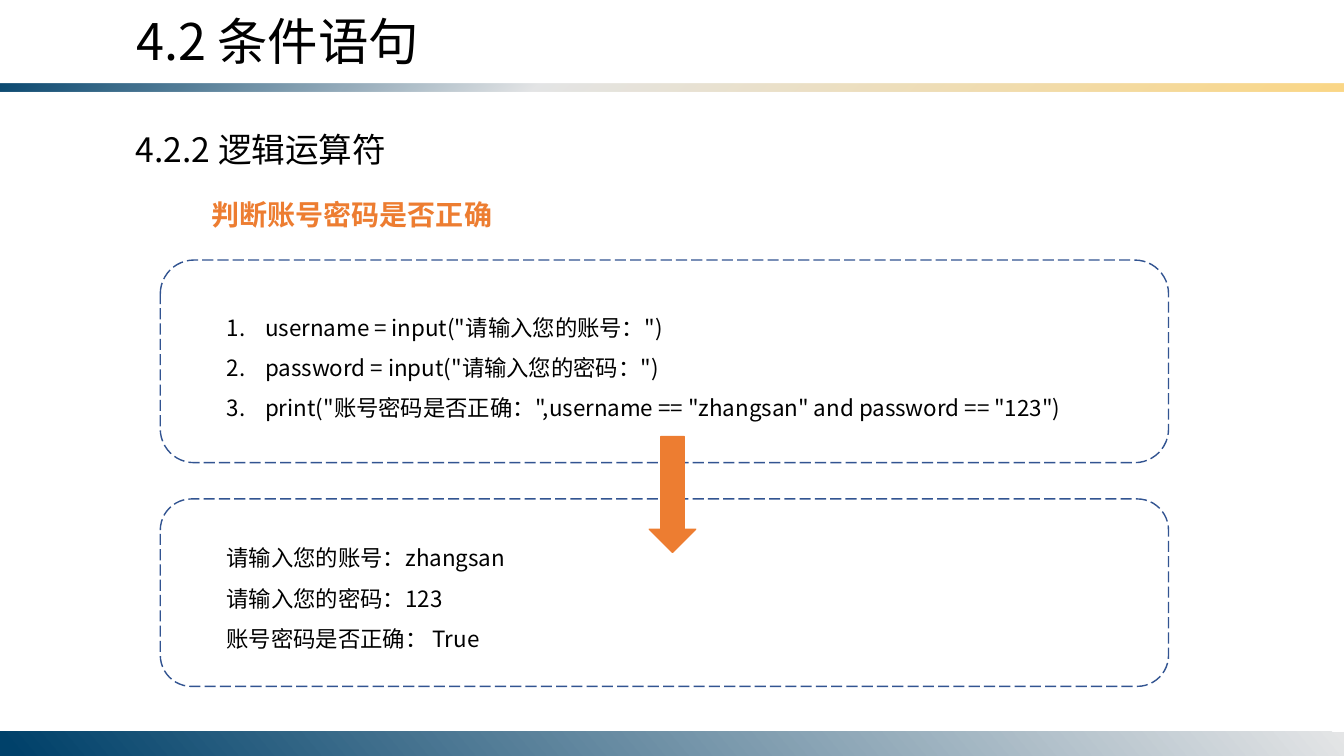
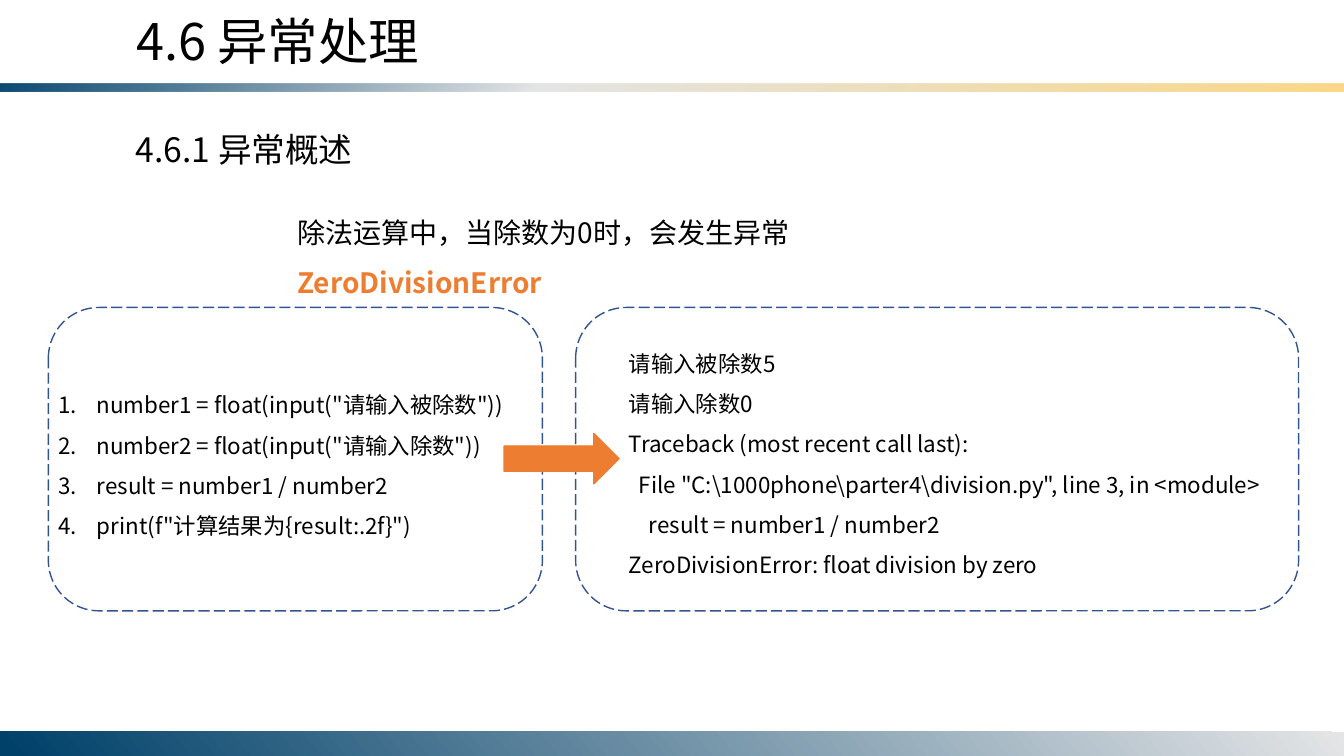
"""Builds two lesson slides with numbered code, its output and an arrow between them."""
from dataclasses import dataclass
from typing import NamedTuple

from lxml import etree
from pptx import Presentation
from pptx.dml.color import RGBColor
from pptx.enum.dml import MSO_LINE
from pptx.enum.shapes import MSO_SHAPE
from pptx.enum.text import MSO_ANCHOR, MSO_AUTO_SIZE, PP_ALIGN
from pptx.oxml import parse_xml
from pptx.oxml.ns import nsdecls, qn
from pptx.util import Inches, Pt

RECTANGLE = MSO_SHAPE.RECTANGLE
ROUNDED = MSO_SHAPE.ROUNDED_RECTANGLE
DOWN_ARROW = MSO_SHAPE.DOWN_ARROW
RIGHT_ARROW = MSO_SHAPE.RIGHT_ARROW
LONG_DASH = MSO_LINE.LONG_DASH
TOP = MSO_ANCHOR.TOP
LEFT = PP_ALIGN.LEFT
NO_AUTOFIT = MSO_AUTO_SIZE.NONE

FONT = "Noto Sans CJK SC"
COLORS = {
    "text": "000000",
    "accent": "ED7D31",
    "outline": "325491",
    "navy": "00416A",
    "silver": "E4E5E6",
    "gold": "FBD786",
}
TITLE_SIZE, SECTION_SIZE, TOPIC_SIZE, CODE_SIZE = 36, 24, 20, 16
LIST_INDENT = Inches(0.38)


class Box(NamedTuple):
    left: float
    top: float
    width: float
    height: float

    def lengths(self) -> list:
        return [Inches(value) for value in self]


class Span(NamedTuple):
    text: str
    color: str = "text"
    bold: bool = False


class Stop(NamedTuple):
    percent: int
    color: str
    opacity: int = 100


@dataclass
class Band:
    box: Box
    angle: int
    stops: list[Stop]


@dataclass
class Lesson:
    title: str
    section: str
    topic: list[Span]
    topic_box: Box
    code: list[str]
    code_box: Box
    code_panel: Box
    output: list[str]
    output_box: Box
    output_panel: Box
    arrow: MSO_SHAPE
    arrow_box: Box


TITLE_BOX = Box(1.25, 0.05, 6.12, 0.71)
SECTION_BOX = Box(1.25, 1.23, 2.87, 0.5)
BANDS = [
    Band(Box(0, 0.83, 13.33, 0.08), 50,
         [Stop(0, "navy", 95), Stop(40, "silver"), Stop(100, "gold")]),
    Band(Box(0, 7.26, 13.33, 0.24), 140, [Stop(0, "silver"), Stop(99, "navy")]),
]
LESSONS = [
    Lesson(
        title="4.2 条件语句",
        section="4.2.2 逻辑运算符",
        topic=[Span("判断账号密码是否正确", "accent", True)],
        topic_box=Box(2, 1.74, 9.89, 0.6),
        code=[
            'username = input("请输入您的账号：")',
            'password = input("请输入您的密码：")',
            'print("账号密码是否正确：",username == "zhangsan" and password == "123")',
        ],
        code_box=Box(2.15, 2.93, 9.03, 1.31),
        code_panel=Box(1.59, 2.58, 10, 2.01),
        output=["请输入您的账号：zhangsan", "请输入您的密码：123", "账号密码是否正确： True"],
        output_box=Box(2.15, 5.22, 9.03, 1.31),
        output_panel=Box(1.59, 4.95, 10, 1.86),
        arrow=DOWN_ARROW,
        arrow_box=Box(6.44, 4.33, 0.46, 1.15),
    ),
    Lesson(
        title="4.6 异常处理",
        section="4.6.1 异常概述",
        topic=[Span("除法运算中，当除数为0时，会发生异常"),
               Span("ZeroDivisionError", "accent", True)],
        topic_box=Box(2.85, 1.92, 7.5, 1.1),
        code=[
            'number1 = float(input("请输入被除数"))',
            'number2 = float(input("请输入除数"))',
            "result = number1 / number2",
            'print(f"计算结果为{result:.2f}")',
        ],
        code_box=Box(0.48, 3.7, 4.88, 1.72),
        code_panel=Box(0.48, 3.05, 4.9, 3.01),
        output=[
            "请输入被除数5",
            "请输入除数0",
            "Traceback (most recent call last):",
            '  File "C:\\1000phone\\parter4\\division.py", line 3, in <module>',
            "    result = number1 / number2",
            "ZeroDivisionError: float division by zero",
        ],
        output_box=Box(6.14, 3.29, 6.87, 2.52),
        output_panel=Box(5.71, 3.05, 7.17, 3.01),
        arrow=RIGHT_ARROW,
        arrow_box=Box(5, 4.3, 1.14, 0.5),
    ),
]


def color_of(name: str) -> RGBColor:
    return RGBColor.from_string(COLORS[name])


def place(shape, box: Box) -> None:
    shape.left, shape.top, shape.width, shape.height = box.lengths()


def add_number(paragraph) -> None:
    properties = paragraph._p.get_or_add_pPr()
    properties.set("marL", str(LIST_INDENT))
    properties.set("indent", str(-LIST_INDENT))
    etree.SubElement(properties, qn("a:buFont"), typeface="+mj-lt")
    etree.SubElement(properties, qn("a:buAutoNum"), type="arabicPeriod")


def add_run(paragraph, span: Span, size: int) -> None:
    run = paragraph.add_run()
    run.text = span.text
    run.font.size = Pt(size)
    run.font.bold = span.bold
    run.font.color.rgb = color_of(span.color)
    run.font.name = FONT
    etree.SubElement(run.font._element, qn("a:ea"), typeface=FONT)


def write(shape, lines: list[list[Span]], size: int, spacing: float = 1.0,
          numbered: bool = False) -> None:
    frame = shape.text_frame
    frame.word_wrap = True
    frame.auto_size = NO_AUTOFIT
    frame.vertical_anchor = TOP
    for index, spans in enumerate(lines):
        paragraph = frame.add_paragraph() if index else frame.paragraphs[0]
        if numbered:
            add_number(paragraph)
        paragraph.alignment = LEFT
        paragraph.space_before = Pt(0)
        paragraph.line_spacing = spacing
        for span in spans:
            add_run(paragraph, span, size)


def add_text(slide, box: Box, lines: list[list[Span]], size: int, spacing: float = 1.0) -> None:
    write(slide.shapes.add_textbox(*box.lengths()), lines, size, spacing)


def add_plain_shape(slide, kind: MSO_SHAPE, box: Box):
    shape = slide.shapes.add_shape(kind, *box.lengths())
    shape.shadow.inherit = False
    return shape


def add_panel(slide, box: Box) -> None:
    panel = add_plain_shape(slide, ROUNDED, box)
    panel.fill.background()
    panel.line.color.rgb = color_of("outline")
    panel.line.width = Pt(1)
    panel.line.dash_style = LONG_DASH


def add_arrow(slide, kind: MSO_SHAPE, box: Box) -> None:
    arrow = add_plain_shape(slide, kind, box)
    arrow.fill.solid()
    arrow.fill.fore_color.rgb = color_of("accent")
    arrow.line.color.rgb = color_of("accent")
    arrow.line.width = Pt(1)


def add_band(slide, band: Band):
    shape = add_plain_shape(slide, RECTANGLE, band.box)
    shape.fill.background()
    shape.line.fill.background()
    stops = "".join(
        f'<a:gs pos="{stop.percent * 1000}"><a:srgbClr val="{COLORS[stop.color]}">'
        f'<a:alpha val="{stop.opacity * 1000}"/></a:srgbClr></a:gs>'
        for stop in band.stops
    )
    gradient = parse_xml(
        f'<a:gradFill {nsdecls("a")} rotWithShape="1"><a:gsLst>{stops}</a:gsLst>'
        f'<a:lin ang="{band.angle * 60000}" scaled="0"/></a:gradFill>'
    )
    properties = shape.element.spPr
    properties.replace(properties.find(qn("a:noFill")), gradient)
    return shape


def add_bands_to_layout(slide, layout) -> None:
    for band in BANDS:
        layout.shapes.element.insert(2, add_band(slide, band).element)


def fill_lesson(slide, lesson: Lesson) -> None:
    title, body = slide.shapes.title, slide.placeholders[1]
    write(title, [[Span(lesson.title)]], TITLE_SIZE)
    add_text(slide, SECTION_BOX, [[Span(lesson.section)]], SECTION_SIZE)
    add_text(slide, lesson.topic_box, [lesson.topic], TOPIC_SIZE, 1.5)
    place(body, lesson.code_box)
    write(body, [[Span(line)] for line in lesson.code], CODE_SIZE, 1.5, numbered=True)
    add_text(slide, lesson.output_box, [[Span(line)] for line in lesson.output], CODE_SIZE, 1.5)
    add_panel(slide, lesson.code_panel)
    add_panel(slide, lesson.output_panel)
    add_arrow(slide, lesson.arrow, lesson.arrow_box)


def main() -> None:
    presentation = Presentation()
    presentation.slide_width = Inches(13.33)
    presentation.slide_height = Inches(7.5)
    layout = presentation.slide_layouts[1]
    place(layout.placeholders[0], TITLE_BOX)
    slides = [presentation.slides.add_slide(layout) for _ in LESSONS]
    add_bands_to_layout(slides[0], layout)
    for slide, lesson in zip(slides, LESSONS):
        fill_lesson(slide, lesson)
    presentation.save("out.pptx")


if __name__ == "__main__":
    main()
